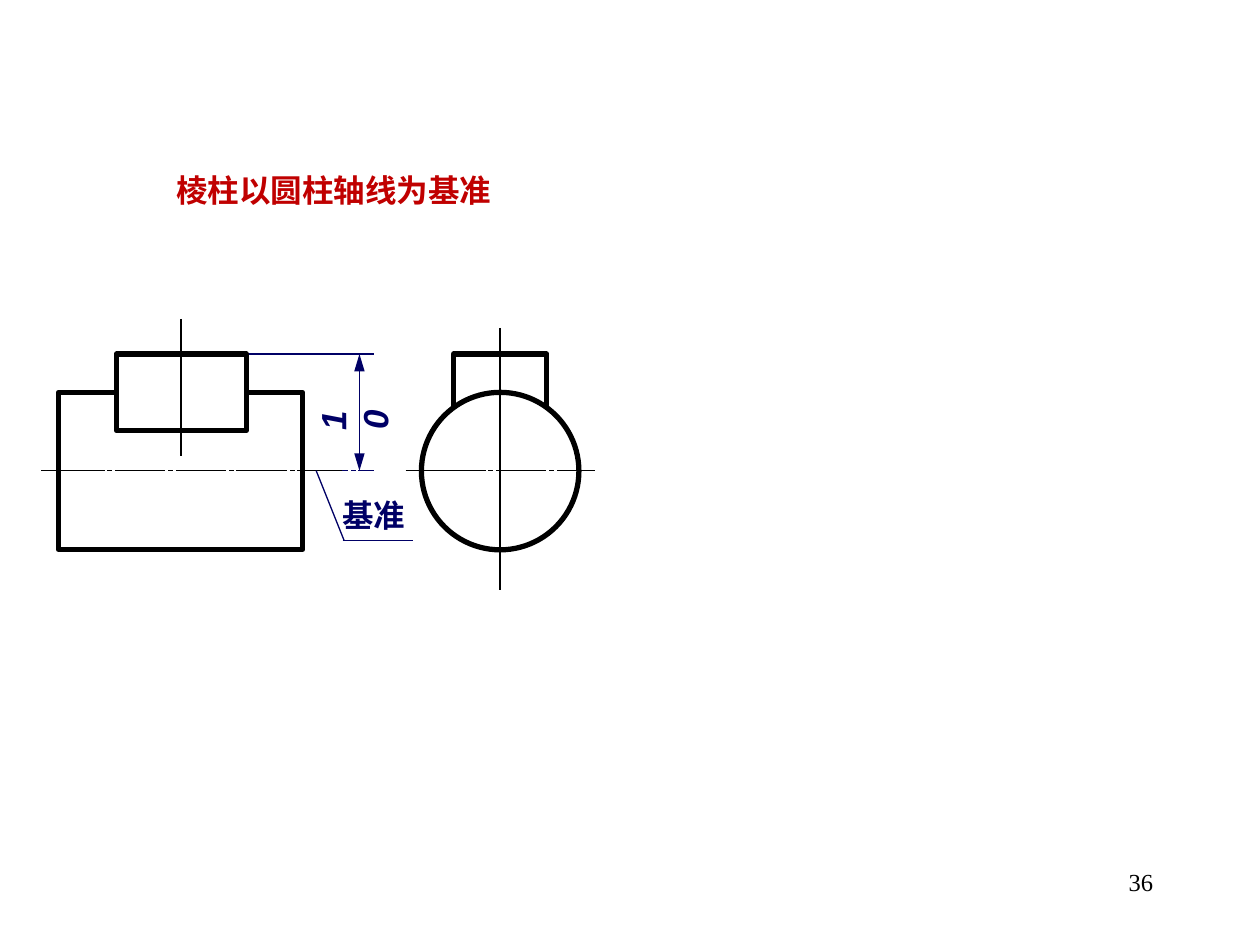
from lxml.etree import SubElement
from pptx import Presentation
from pptx.dml.color import RGBColor
from pptx.enum.shapes import MSO_CONNECTOR as CONN, MSO_SHAPE as SHAPE
from pptx.enum.text import MSO_ANCHOR as ANCHOR, MSO_AUTO_SIZE as FIT, PP_ALIGN as ALIGN
from pptx.oxml.ns import qn
from pptx.util import Pt

CJK = "Noto Sans CJK SC"
NAVY, BLACK, WHITE, RED = "000066", "000000", "FFFFFF", "C00000"
AXIS_Y, TOP_Y, SIDE_X = 269, 202.3, 285.8


def color(value):
    """Turn a hex string into a colour."""
    return RGBColor.from_string(value)


def write(s, text, size, font, hue, align=ALIGN.LEFT, bold=True, italic=False, wrap=True):
    """Put one formatted paragraph into a shape."""
    tf = s.text_frame
    tf.text = text
    tf.word_wrap = wrap
    tf.auto_size = FIT.NONE
    tf.vertical_anchor = ANCHOR.TOP
    p = tf.paragraphs[0]
    p.alignment = align
    f = p.font
    f.size, f.name, f.bold, f.italic = Pt(size), font, bold, italic
    f.color.rgb = color(hue)
    SubElement(f._element, qn("a:ea"), typeface=font)


def label(sp, box, *args, rotation=0, **style):
    """Add a text box."""
    s = sp.add_textbox(*map(Pt, box))
    s.rotation = rotation
    write(s, *args, **style)


def line(sp, x1, y1, x2, y2, hue=BLACK, width=0.75, arrows=False):
    """Draw a straight line, with arrowheads at both ends if asked."""
    s = sp.add_connector(CONN.STRAIGHT, *map(Pt, (x1, y1, x2, y2)))
    s.line.color.rgb = color(hue)
    s.line.width = Pt(width)
    if arrows:
        ln = s.line._get_or_add_ln()
        for end in ("a:headEnd", "a:tailEnd"):
            SubElement(ln, qn(end), type="triangle", w="med", len="lg")
    SubElement(s._element.spPr, qn("a:effectLst"))


def outline(sp, kind, box, fill=None):
    """Draw a heavy part outline, filled or open."""
    s = sp.add_shape(kind, *map(Pt, box))
    s.shadow.inherit = False
    s.line.color.rgb = color(BLACK)
    s.line.width = Pt(3)
    if fill:
        s.fill.solid()
        s.fill.fore_color.rgb = color(fill)
    else:
        s.fill.background()


def axis_gaps(sp, start, count):
    """Break a horizontal axis into a dash-dot pattern."""
    for i in range(count):
        for offset in (0, 4.3):
            x = start + 34.8 * i + offset
            line(sp, x, AXIS_Y - 2.5, x, AXIS_Y + 3, WHITE, 1.5)


def dimension(sp):
    """Draw the height dimension with its extension lines."""
    line(sp, 187.2, AXIS_Y, 213.6, AXIS_Y, NAVY)
    line(sp, 141.1, TOP_Y, 213.6, TOP_Y, NAVY)
    line(sp, 205.4, TOP_Y, 205.4, AXIS_Y, NAVY, arrows=True)
    label(sp, (185.8, 212.4, 32.4, 55.4), "10", 20, "Arial", NAVY,
          align=ALIGN.CENTER, italic=True, rotation=269.6)


def front_view(sp):
    """Draw the cylinder with the prism from the front."""
    line(sp, 23.5, AXIS_Y, 195.4, AXIS_Y)
    outline(sp, SHAPE.RECTANGLE, (33.4, 224.2, 139.6, 89.8))
    outline(sp, SHAPE.RECTANGLE, (66.5, TOP_Y, 74.2, 43.8), WHITE)
    line(sp, 103.5, 182.2, 103.5, 260.8)


def side_view(sp):
    """Draw the cylinder with the prism from the side."""
    outline(sp, SHAPE.RECTANGLE, (259.2, TOP_Y, 53.2, 43.8))
    outline(sp, SHAPE.OVAL, (SIDE_X - 45, 224.2, 90, 90), WHITE)
    line(sp, 231.8, AXIS_Y, 339.8, AXIS_Y)
    line(sp, SIDE_X, 187.4, SIDE_X, 337.4)


def datum(sp):
    """Draw the datum leader and its label."""
    line(sp, 180.7, AXIS_Y, 196.7, 309, NAVY)
    line(sp, 195.8, 309, 236.2, 309, NAVY)
    label(sp, (188.6, 280, 50.4, 28.8), "基准", 18, CJK, NAVY, wrap=False)


def main():
    """Build the slide and save it."""
    prs = Presentation()
    prs.slide_width, prs.slide_height = Pt(720), Pt(540)
    slide = prs.slides.add_slide(prs.slide_layouts[5])
    sp = slide.shapes
    title = sp.title
    title.left, title.top, title.width, title.height = map(Pt, (83.5, 94.3, 214.6, 28.8))
    write(title, "棱柱以圆柱轴线为基准", 18, CJK, RED, align=ALIGN.CENTER)
    label(sp, (516.2, 491.8, 149.8, 36), "36", 14, "Times New Roman", BLACK,
          align=ALIGN.RIGHT, bold=False)
    dimension(sp)
    front_view(sp)
    side_view(sp)
    datum(sp)
    axis_gaps(sp, 60.5, 5)
    axis_gaps(sp, 278.2, 2)
    prs.save("out.pptx")


if __name__ == "__main__":
    main()
